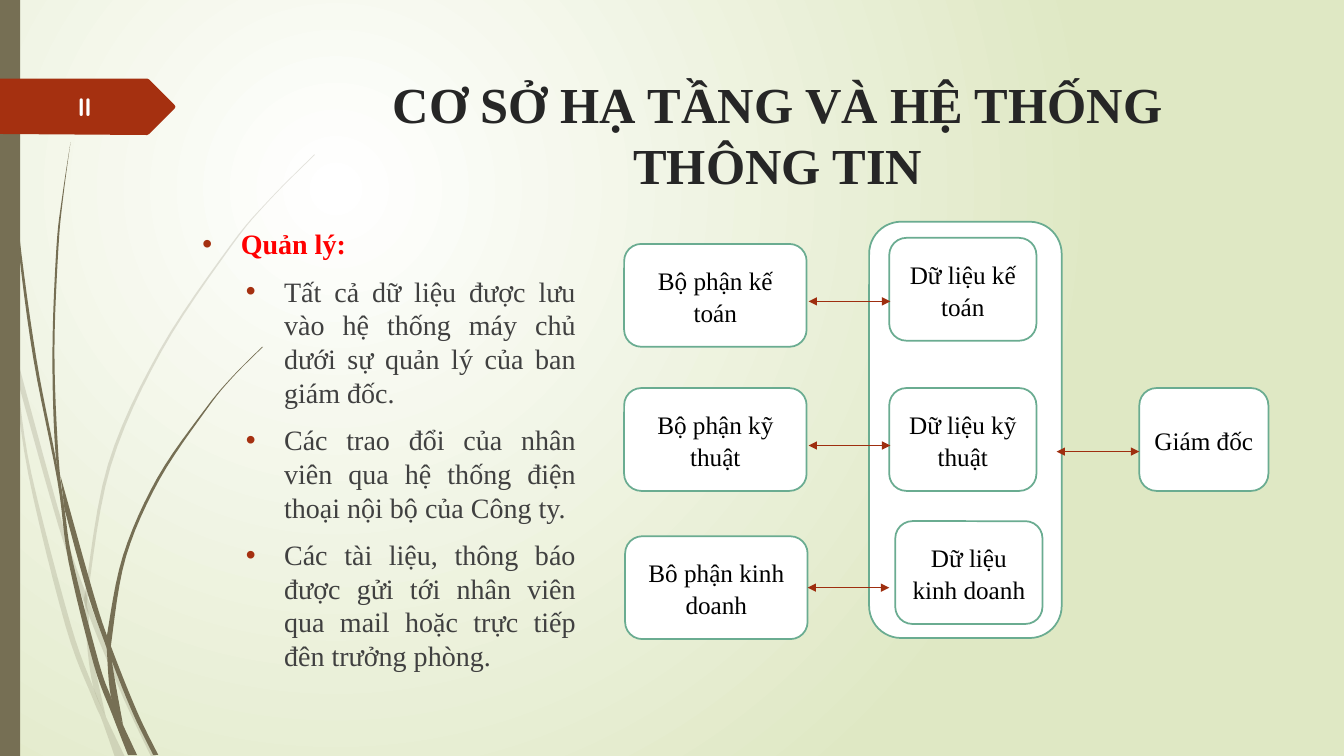
from dataclasses import dataclass
from lxml.etree import SubElement
from pptx import Presentation
from pptx.dml.color import RGBColor
from pptx.enum.shapes import MSO_CONNECTOR, MSO_SHAPE
from pptx.enum.text import MSO_ANCHOR, PP_ALIGN
from pptx.oxml.ns import qn
from pptx.util import Emu, Pt

PX = 9144
SERIF = "Times New Roman"
OLIVE, RUST, GREEN = "766F54", "A53010", "6AAC91"

Point = tuple[float, float]


@dataclass
class Box:
    text: str
    x: int
    y: int
    w: int
    h: int = 102


@dataclass
class Link:
    x: int
    y: int
    end: int
    box: str = ""


@dataclass
class Stem:
    left: list[Point]
    right: list[Point]
    alpha: int = 100


@dataclass
class Item:
    text: str
    indent: int
    color: str = "404040"
    bold: bool = False


STEMS = [
    Stem([(17, 376), (58, 522), (88, 610), (123, 694), (150, 751)],
         [(14, 345), (62, 520), (88, 596), (127, 692), (155, 751)], 20),
    Stem([(0, 299), (11, 350), (28, 470), (65, 621), (92, 693), (101, 714), (114, 751)],
         [(0, 282), (9, 322), (17, 376), (31, 469), (70, 619), (93, 683), (105, 711),
          (124, 751)], 20),
    Stem([(312, 153), (268, 197), (228, 244), (158, 348), (107, 461), (85, 584),
          (84, 599), (87, 646), (93, 683), (105, 711)],
         [(312, 154), (268, 198), (229, 245), (160, 349), (110, 462), (88, 584),
          (88, 610), (91, 646), (105, 711)], 20),
    Stem([(3, 0), (4, 48), (7, 110), (17, 233), (33, 355), (57, 477), (68, 557),
          (93, 659), (111, 708), (127, 749)],
         [(4, 0), (5, 48), (8, 109), (19, 232), (36, 355), (55, 453), (64, 505),
          (72, 556), (98, 657), (110, 691), (122, 719), (136, 749)]),
    Stem([(64, 505), (88, 592), (111, 656), (132, 708), (152, 749)],
         [(60, 472), (93, 590), (110, 641), (136, 706), (157, 749)]),
    Stem([(70, 141), (62, 193), (56, 245), (52, 349), (55, 449), (64, 505)],
         [(70, 141), (63, 193), (58, 245), (54, 349), (58, 453), (64, 505)]),
    Stem([(260, 344), (231, 373), (204, 405), (156, 474), (122, 551), (106, 631),
          (106, 645), (110, 691), (122, 719)],
         [(261, 344), (231, 374), (205, 406), (158, 476), (125, 552), (111, 633),
          (111, 656), (122, 719)]),
]
TAG = [(0, 78), (146, 78), (148, 79), (173, 104), (174, 106), (173, 108),
       (148, 133), (146, 134), (0, 133)]
BOXES = [
    Box("Bộ phận kế toán", 619, 242, 181),
    Box("Bộ phận kỹ thuật", 619, 385, 181),
    Box("Bô phận kinh doanh", 620, 532, 181),
    Box("", 862, 220, 191, 413),
    Box("Dữ liệu kế toán", 882, 236, 146),
    Box("Dữ liệu kỹ thuật", 882, 385, 146),
    Box("Dữ liệu kinh doanh", 888, 517, 146),
    Box("Giám đốc", 1130, 385, 128),
]
LINKS = [
    Link(802, 299, 883),
    Link(802, 442, 883),
    Link(801, 583, 882, "Bô phận kinh doanh"),
    Link(1048, 448, 1130),
]
ITEMS = [
    Item("Quản lý:", 38, "FF0000", True),
    Item("Tất cả dữ liệu được lưu vào hệ thống máy chủ dưới sự quản lý của ban giám đốc.", 81),
    Item("Các trao đổi của nhân viên qua hệ thống điện thoại nội bộ của Công ty.", 81),
    Item("Các tài liệu, thông báo được gửi tới nhân viên qua mail hoặc trực tiếp đên trưởng phòng.", 81),
]


def px(*vals: float) -> list[Emu]:
    return [Emu(round(v * PX)) for v in vals]


def rgb(code: str) -> RGBColor:
    return RGBColor.from_string(code)


def write(para, text: str, *, size=18, font=SERIF, color="000000", bold=False,
          align=PP_ALIGN.CENTER):
    para.alignment = align
    run = para.add_run()
    run.text = text
    face = run.font
    face.size, face.name, face.bold = Pt(size), font, bold
    face.color.rgb = rgb(color)


def paint(shape, fill: str, line: str = ""):
    shape.shadow.inherit = False
    shape.fill.solid()
    shape.fill.fore_color.rgb = rgb(fill)
    if line:
        shape.line.color.rgb = rgb(line)
        shape.line.width = Pt(1.25)
    else:
        shape.line.fill.background()


def curve(pts: list[Point], steps: int = 6) -> list[Point]:
    ends = [pts[0], *pts, pts[-1]]
    out = []
    for a, b, c, d in zip(ends, ends[1:], ends[2:], ends[3:]):
        for t in (i / steps for i in range(steps)):
            out.append(tuple(
                (2 * q + (r - p) * t + (2 * p - 5 * q + 4 * r - s) * t ** 2
                 + (3 * q - p - 3 * r + s) * t ** 3) / 2
                for p, q, r, s in zip(a, b, c, d)))
    return out + [pts[-1]]


def outline(slide, pts: list[Point], fill: str, alpha: int = 100):
    spots = [px(*p) for p in pts]
    pen = slide.shapes.build_freeform(*spots[0], scale=1.0)
    pen.add_line_segments(spots[1:], close=True)
    shape = pen.convert_to_shape()
    paint(shape, fill)
    if alpha < 100:
        tint = shape.element.spPr.find(qn("a:solidFill")).find(qn("a:srgbClr"))
        SubElement(tint, qn("a:alpha"), val=str(alpha * 1000))


def frame(slide, x: int, y: int, w: int, h: int):
    body = slide.shapes.add_textbox(*px(x, y, w, h)).text_frame
    body.word_wrap = True
    return body


def draw_box(slide, box: Box):
    shape = slide.shapes.add_shape(MSO_SHAPE.ROUNDED_RECTANGLE,
                                   *px(box.x, box.y, box.w, box.h))
    paint(shape, "FFFFFF", GREEN)
    if box.text:
        shape.text_frame.vertical_anchor = MSO_ANCHOR.MIDDLE
        para = shape.text_frame.paragraphs[0]
        para.line_spacing, para.space_after = 1.07, Pt(8)
        write(para, box.text)
    return shape


def draw_link(slide, link: Link, drawn: dict):
    wire = slide.shapes.add_connector(MSO_CONNECTOR.STRAIGHT,
                                      *px(link.x, link.y, link.end, link.y))
    wire.line.color.rgb = rgb("9E2E0F")
    wire.line.width = Pt(0.75)
    props = wire.element.spPr
    for tip in ("a:headEnd", "a:tailEnd"):
        SubElement(props.find(qn("a:ln")), qn(tip), type="triangle")
    SubElement(props, qn("a:effectLst"))
    if link.box:
        wire.begin_connect(drawn[link.box], 3)


def draw_item(para, item: Item):
    para.space_before = Pt(10)
    write(para, item.text, size=20, color=item.color, bold=item.bold,
          align=PP_ALIGN.JUSTIFY)
    props = para._p.get_or_add_pPr()
    props.set("marL", str(item.indent * PX))
    props.set("indent", str(-38 * PX))
    SubElement(SubElement(props, qn("a:buClr")), qn("a:srgbClr"), val=RUST)
    SubElement(props, qn("a:buFont"), typeface="Arial")
    SubElement(props, qn("a:buChar"), char="•")


def backdrop(slide):
    fill = slide.background.fill
    fill.gradient()
    for stop, pos, code in zip(fill.gradient_stops, (0, 1), ("FFFFFF", "DFE8C4")):
        stop.position = pos
        stop.color.rgb = rgb(code)
    grad = next(slide.element.iter(qn("a:gradFill")))
    grad.remove(grad.find(qn("a:lin")))
    ring = SubElement(grad, qn("a:path"), path="circle")
    SubElement(ring, qn("a:fillToRect"), l="50000", t="50000", r="100000", b="100000")


def main():
    deck = Presentation()
    deck.slide_width, deck.slide_height = px(1333, 750)
    slide = deck.slides.add_slide(deck.slide_layouts[6])
    backdrop(slide)
    for stem in STEMS:
        outline(slide, curve(stem.left) + curve(stem.right)[::-1], OLIVE, stem.alpha)
    paint(slide.shapes.add_shape(MSO_SHAPE.RECTANGLE, *px(0, 0, 20, 750)), OLIVE)
    outline(slide, TAG, RUST)

    body = frame(slide, 191, 220, 390, 461)
    for i, item in enumerate(ITEMS):
        draw_item(body.add_paragraph() if i else body.paragraphs[0], item)
    write(frame(slide, 284, 68, 975, 140).paragraphs[0],
          "CƠ SỞ HẠ TẦNG VÀ HỆ THỐNG THÔNG TIN", size=36, color="262626", bold=True)
    write(frame(slide, 19, 86, 130, 40).paragraphs[0], "II",
          font="Quicksand", color="FFFFFF", bold=True)

    drawn = {box.text: draw_box(slide, box) for box in BOXES}
    for link in LINKS:
        draw_link(slide, link, drawn)
    deck.save("out.pptx")


if __name__ == "__main__":
    main()
